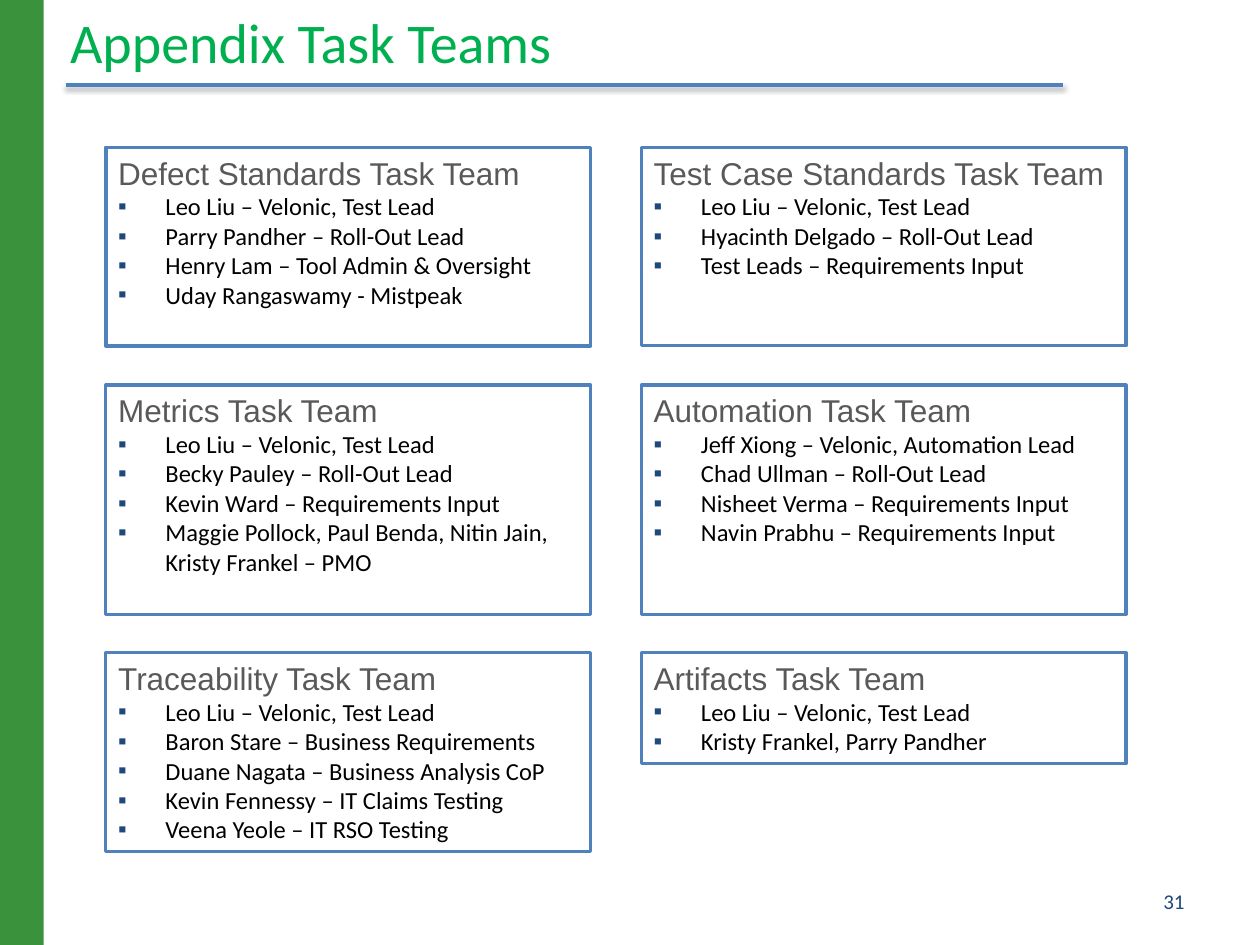
from lxml import etree
from pptx import Presentation
from pptx.dml.color import RGBColor
from pptx.enum import shapes, text
from pptx.oxml import ns
from pptx.util import Pt

TEAMS = [
    [("Defect Standards Task Team", [
        "Leo Liu – Velonic, Test Lead",
        "Parry Pandher – Roll-Out Lead",
        "Henry Lam – Tool Admin & Oversight",
        "Uday Rangaswamy - Mistpeak"]),
     ("Test Case Standards Task Team", [
         "Leo Liu – Velonic, Test Lead",
         "Hyacinth Delgado – Roll-Out Lead",
         "Test Leads – Requirements Input"])],
    [("Metrics Task Team", [
        "Leo Liu – Velonic, Test Lead",
        "Becky Pauley – Roll-Out Lead",
        "Kevin Ward – Requirements Input",
        "Maggie Pollock, Paul Benda, Nitin Jain, Kristy Frankel – PMO"]),
     ("Automation Task Team", [
         "Jeff Xiong – Velonic, Automation Lead",
         "Chad Ullman – Roll-Out Lead",
         "Nisheet Verma – Requirements Input",
         "Navin Prabhu – Requirements Input"])],
    [("Traceability Task Team", [
        "Leo Liu – Velonic, Test Lead",
        "Baron Stare – Business Requirements",
        "Duane Nagata – Business Analysis CoP",
        "Kevin Fennessy – IT Claims Testing",
        "Veena Yeole – IT RSO Testing"]),
     ("Artifacts Task Team", [
         "Leo Liu – Velonic, Test Lead",
         "Kristy Frankel, Parry Pandher"])],
]
ROWS = [(84.25, (113.5, 113.5)), (220, (131, 131)), (373, (113.5, 63.5))]
LEFT, STEP, WIDTH = 60.5, 306, 277


def color(code):
    return RGBColor.from_string(code)


def node(root, tag, **attrs):
    return etree.SubElement(root, ns.qn(tag), attrs)


class Deck:
    blue, navy, green = "4F81BD", "1F497D", "3A923D"
    title = {"size": Pt(32), "name": "Calibri", "color": "00B050"}
    head = {"size": Pt(18), "name": "Arial", "color": "595959"}
    body = {"size": Pt(14), "name": "Calibri", "color": "000000"}
    number = {"size": Pt(12), "name": "Calibri", "color": navy}

    def __init__(self, slide):
        self.slide = slide

    def put(self, para, words, style):
        """Add a styled run to a paragraph."""
        run = para.add_run()
        run.text = words
        for key, value in style.items():
            if key == "color":
                run.font.color.rgb = color(value)
            else:
                setattr(run.font, key, value)

    def rect(self, *place):
        box = self.slide.shapes.add_shape(shapes.MSO_SHAPE.RECTANGLE, *map(Pt, place))
        box.shadow.inherit = False
        return box

    def bar(self, *place):
        box = self.rect(*place)
        box.fill.solid()
        box.fill.fore_color.rgb = color(self.green)
        box.line.fill.background()

    def rule(self, *ends):
        """Draw a line with a soft shadow below it."""
        line = self.slide.shapes.add_connector(shapes.MSO_CONNECTOR.STRAIGHT, *map(Pt, ends))
        line.line.color.rgb = color(self.blue)
        line.line.width = Pt(2)
        effect = node(line._element.spPr, "a:effectLst")
        shade = node(effect, "a:outerShdw", blurRad=str(Pt(3.1)), dist=str(Pt(1.6)),
                     dir="5400000", rotWithShape="0")
        node(node(shade, "a:srgbClr", val="000000"), "a:alpha", val="38000")

    def label(self, words, style, place, anchor, align):
        box = self.slide.shapes.add_textbox(*map(Pt, place)).text_frame
        box.word_wrap = True
        box.vertical_anchor = anchor
        para = box.paragraphs[0]
        para.alignment = align
        self.put(para, words, style)

    def bullet(self, para):
        props = para._p.get_or_add_pPr()
        props.set("marL", str(Pt(27)))
        props.set("indent", str(Pt(-27)))
        node(node(props, "a:buClr"), "a:srgbClr", val=self.navy)
        node(props, "a:buFont", typeface="Arial")
        node(props, "a:buChar", char="▪")

    def team(self, name, people, place, weight):
        box = self.rect(*place)
        box.fill.background()
        box.line.color.rgb = color(self.blue)
        box.line.width = Pt(weight)
        frame = box.text_frame
        frame.word_wrap = True
        frame.vertical_anchor = text.MSO_ANCHOR.TOP
        top = frame.paragraphs[0]
        top.alignment = text.PP_ALIGN.LEFT
        top.space_before = Pt(3)
        self.put(top, name, self.head)
        for person in people:
            para = frame.add_paragraph()
            para.alignment = text.PP_ALIGN.LEFT
            self.bullet(para)
            self.put(para, person, self.body)


def main():
    show = Presentation()
    show.slide_width, show.slide_height = Pt(720), Pt(540)
    deck = Deck(show.slides.add_slide(show.slide_layouts[6]))
    deck.bar(0, 0, 25, 540)
    deck.rule(37.5, 48.5, 607.5, 48.5)
    deck.label("Appendix Task Teams", deck.title, (33, 4.25, 628, 42),
               text.MSO_ANCHOR.BOTTOM, text.PP_ALIGN.LEFT)
    for row, (top, heights) in zip(TEAMS, ROWS):
        for col, (name, people) in enumerate(row):
            weight = 2 if row is TEAMS[0] and col == 0 else 1.75
            deck.team(name, people, (LEFT + col * STEP, top, WIDTH, heights[col]), weight)
    deck.label("31", deck.number, (516, 500.5, 168, 28.75),
               text.MSO_ANCHOR.MIDDLE, text.PP_ALIGN.RIGHT)
    show.save("out.pptx")


if __name__ == "__main__":
    main()
